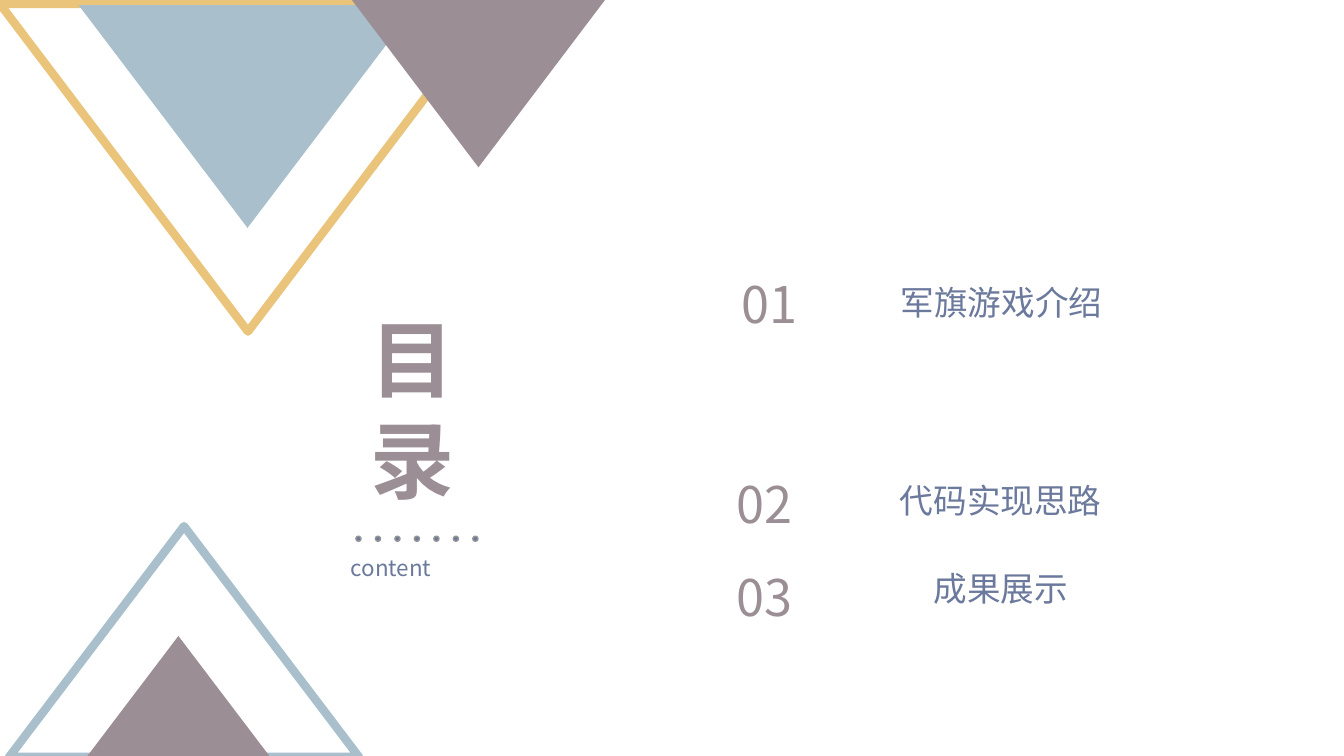
import pptx
import pptx.util
import pptx.dml.color
import pptx.enum.shapes
import pptx.enum.text
import pptx.oxml.ns
import lxml.etree

MAUVE, BLUE, GOLD, INK, GREY = "9B8E95", "A9BFCC", "EAC47B", "6B799C", "969696"
FONT = "Noto Sans CJK SC"
SHAPE = pptx.enum.shapes.MSO_SHAPE
ALIGN = pptx.enum.text.PP_ALIGN

deck = pptx.Presentation()
deck.slide_width = pptx.util.Inches(13.33)
deck.slide_height = pptx.util.Inches(7.5)
column = deck.slide_width / 100
row = deck.slide_height / 100
slide = deck.slides.add_slide(deck.slide_layouts[5])


def draw(shapes, kind, cell, fill=None, line=None, weight=1):
    left, top, width, height = cell
    figure = shapes.add_shape(kind, int(left * column), int(top * row),
                              int(width * column), int(height * row))
    figure.shadow.inherit = False
    for paint, color in ((figure.fill, fill), (figure.line.fill, line)):
        if color:
            paint.solid()
            paint.fore_color.rgb = pptx.dml.color.RGBColor.from_string(color)
        else:
            paint.background()
    if line:
        figure.line.width = pptx.util.Pt(weight)
    return figure


def write(holder, cell, words, size, color, align, bold=False):
    left, top, width, height = cell
    holder.left, holder.top = int(left * column), int(top * row)
    holder.width, holder.height = int(width * column), int(height * row)
    frame = holder.text_frame
    frame.word_wrap = True
    frame.auto_size = pptx.enum.text.MSO_AUTO_SIZE.NONE
    frame.vertical_anchor = pptx.enum.text.MSO_ANCHOR.TOP
    frame.paragraphs[0].alignment = align
    run = frame.paragraphs[0].add_run()
    run.text = words
    run.font.size = pptx.util.Pt(size)
    run.font.bold = bold
    run.font.color.rgb = pptx.dml.color.RGBColor.from_string(color)
    run.font.name = FONT
    east_asian = lxml.etree.SubElement(run.font._element, pptx.oxml.ns.qn("a:ea"))
    east_asian.set("typeface", FONT)
    return frame


for cell, turn, fill, line in (
    ((0.68, 69.6, 26.03, 30.53), 0, None, BLUE),
    ((0, 0.53, 36.9, 43.33), 180, None, GOLD),
    ((5.85, 0.67, 25.13, 29.47), 180, BLUE, None),
    ((26.18, 0, 18.83, 22.13), 180, MAUVE, None),
    ((6.45, 84.13, 13.65, 16), 0, MAUVE, None),
):
    triangle = draw(slide.shapes, SHAPE.ISOSCELES_TRIANGLE, cell, fill, line, 6)
    triangle.rotation = turn

dots = slide.shapes.add_group_shape()
for index in range(7):
    draw(dots.shapes, SHAPE.OVAL, (26.48 + 1.45 * index, 70.93, 0.38, 0.67), INK, GREY)

write(slide.shapes.title, (26.85, 40, 13.13, 28.27), "目 录", 60, MAUVE, ALIGN.LEFT, True)

subtitle = write(slide.shapes.add_textbox(0, 0, 0, 0), (26.1, 73.33, 10.2, 3.6),
                 "content", 16, INK, ALIGN.JUSTIFY)
subtitle.margin_left = subtitle.margin_right = 0
subtitle.margin_top = subtitle.margin_bottom = 0

for number, number_left, number_top, topic, topic_left, topic_top in (
    ("01", 52.66, 35.47, "军旗游戏介绍", 57.61, 36.67),
    ("02", 52.29, 61.87, "代码实现思路", 57.54, 62.8),
    ("03", 52.29, 74.27, "成果展示", 57.54, 74.4),
):
    write(slide.shapes.add_textbox(0, 0, 0, 0), (topic_left, topic_top, 33.83, 6.67),
          topic, 24, INK, ALIGN.CENTER)
    write(slide.shapes.add_textbox(0, 0, 0, 0), (number_left, number_top, 9.23, 9.47),
          number, 36, MAUVE, ALIGN.CENTER)

deck.save("out.pptx")
